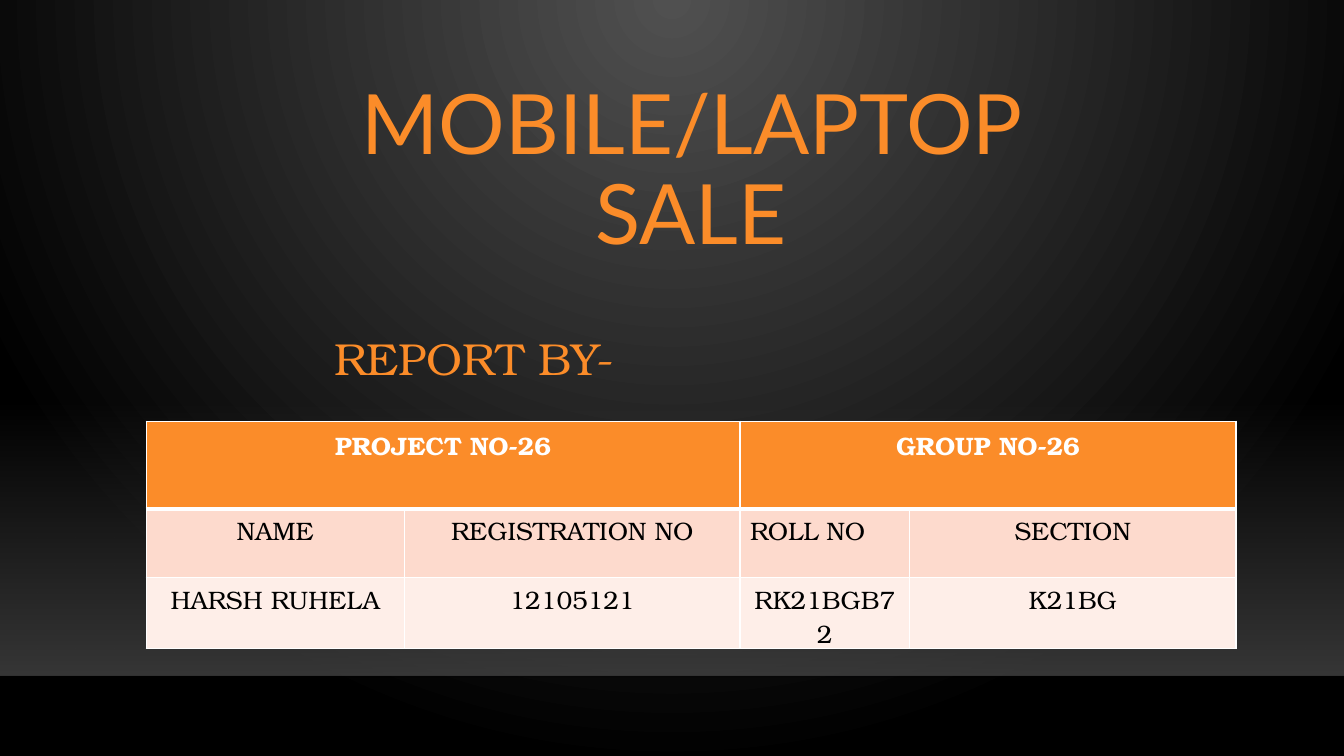
from lxml import etree
from pptx import Presentation, util as u
from pptx.dml.color import RGBColor
from pptx.enum import shapes, text
from pptx.oxml import parse_xml
from pptx.oxml.ns import nsdecls, qn

ORANGE = RGBColor(0xFB, 0x8C, 0x29)
WHITE = RGBColor(0xFF, 0xFF, 0xFF)
BLACK = RGBColor(0, 0, 0)
LINE_BLACK = RGBColor(0, 0, 1)
PINK = RGBColor(0xFD, 0xDA, 0xCD)
PALE_PINK = RGBColor(0xFE, 0xEE, 0xE8)
HEADING_FONT, BODY_FONT = "Lato", "TeX Gyre Bonum"
CENTER, LEFT = text.PP_ALIGN.CENTER, text.PP_ALIGN.LEFT


def set_gradient(element, stops, direction):
    """Swap the solid fill in element for a gradient of (place, colour, opacity) stops."""
    stop_xml = "".join(
        f'<a:gs pos="{place * 1000}"><a:srgbClr val="{colour}">'
        f'<a:alpha val="{opacity * 1000}"/></a:srgbClr></a:gs>'
        for place, colour, opacity in stops)
    solid = element.xpath(".//a:solidFill")[0]
    solid.getparent().replace(solid, parse_xml(
        f'<a:gradFill {nsdecls("a")} rotWithShape="1"><a:gsLst>{stop_xml}</a:gsLst>'
        f'{direction}</a:gradFill>'))


def write(paragraph, words, font_format, paragraph_format):
    run = paragraph.add_run()
    run.text = words
    for name, value in paragraph_format.items():
        setattr(paragraph, name, value)
    for name, value in font_format.items():
        if name == "color":
            run.font.color.rgb = value
        else:
            setattr(run.font, name, value)


presentation = Presentation()
presentation.slide_width, presentation.slide_height = u.Inches(13.33), u.Inches(7.5)
width = presentation.slide_width
slide = presentation.slides.add_slide(presentation.slide_layouts[6])

# Background: a glow from the top centre
slide.background.fill.solid()
set_gradient(slide.element, [(0, "505050", 100), (100, "000000", 100)],
             '<a:path path="circle"><a:fillToRect l="43000" t="0" r="43000" b="100000"/></a:path>')

# Floor band and its lower edge
floor = slide.shapes.add_shape(shapes.MSO_SHAPE.RECTANGLE, 0, u.Inches(3.96), width, u.Inches(2.74))
floor.shadow.inherit = False
floor.line.fill.background()
floor.fill.solid()
set_gradient(floor.element, [(0, "454545", 0), (100, "454545", 80)],
             '<a:lin ang="5400000" scaled="0"/>')

edge = slide.shapes.add_connector(shapes.MSO_CONNECTOR.STRAIGHT, 0, u.Inches(6.71), width, u.Inches(6.71))
edge.line.width = u.Pt(1)
edge.line.color.rgb = LINE_BLACK
etree.SubElement(edge.element.xpath(".//a:ln//a:srgbClr")[0], qn("a:alpha"), val="20000")
etree.SubElement(edge.element.spPr, qn("a:effectLst"))

# Title and subtitle
headings = [
    ("MOBILE/LAPTOP SALE", (3.42, 0.72, 6.87, 1.88),
     dict(vertical_anchor=text.MSO_ANCHOR.BOTTOM, margin_top=u.Inches(0.05), margin_bottom=0),
     dict(size=u.Pt(59.4), name=HEADING_FONT, color=ORANGE),
     dict(alignment=CENTER, line_spacing=0.9)),
    ("REPORT BY-", (2.15, 3.07, 5.11, 1.1),
     dict(vertical_anchor=text.MSO_ANCHOR.TOP, margin_top=u.Inches(0.1), margin_bottom=u.Inches(0.1)),
     dict(size=u.Pt(32), name=BODY_FONT, color=ORANGE),
     dict(alignment=CENTER, line_spacing=1.2, space_before=u.Pt(10))),
]
for words, place, frame_format, font_format, paragraph_format in headings:
    frame = slide.shapes.add_textbox(*map(u.Inches, place)).text_frame
    frame.word_wrap = True
    for name, value in frame_format.items():
        setattr(frame, name, value)
    write(frame.paragraphs[0], words, font_format, paragraph_format)

# Table: two merged headers over four columns
rows = [
    (["PROJECT NO-26", "", "GROUP NO-26", ""], 0.87, ORANGE, WHITE, True),
    (["NAME", "REGISTRATION NO", "ROLL NO", "SECTION"], 0.68, PINK, BLACK, False),
    (["HARSH RUHELA", "12105121", "RK21BGB72", "K21BG"], 0.68, PALE_PINK, BLACK, False),
]
column_widths = [2.56, 3.33, 1.68, 3.24]
table = slide.shapes.add_table(len(rows), len(column_widths), u.Inches(1.45), u.Inches(4.18),
                               u.Inches(sum(column_widths)), u.Inches(2.23)).table
for column, column_width in zip(table.columns, column_widths):
    column.width = u.Inches(column_width)
for first in (0, 2):
    table.cell(0, first).merge(table.cell(0, first + 1))

for i, (words_in_row, height, fill, colour, bold) in enumerate(rows):
    table.rows[i].height = u.Inches(height)
    for j, words in enumerate(words_in_row):
        cell = table.cell(i, j)
        cell.fill.solid()
        cell.fill.fore_color.rgb = fill
        # The rule under the header is thicker than the rest
        borders = {"L": 1, "R": 1, "T": 3 if i == 1 else 1, "B": 3 if i == 0 else 1}
        for k, (side, points) in enumerate(borders.items()):
            cell.fill  # keeps the fill after the borders
            properties = cell._tc.get_or_add_tcPr()
            properties.insert(k, parse_xml(
                f'<a:ln{side} {nsdecls("a")} w="{u.Pt(points)}"><a:solidFill>'
                f'<a:srgbClr val="{WHITE}"/></a:solidFill></a:ln{side}>'))
        if words:
            write(cell.text_frame.paragraphs[0], words,
                  dict(size=u.Pt(18), name=BODY_FONT, color=colour, bold=bold),
                  dict(alignment=LEFT if words == "ROLL NO" else CENTER))

presentation.save("out.pptx")
